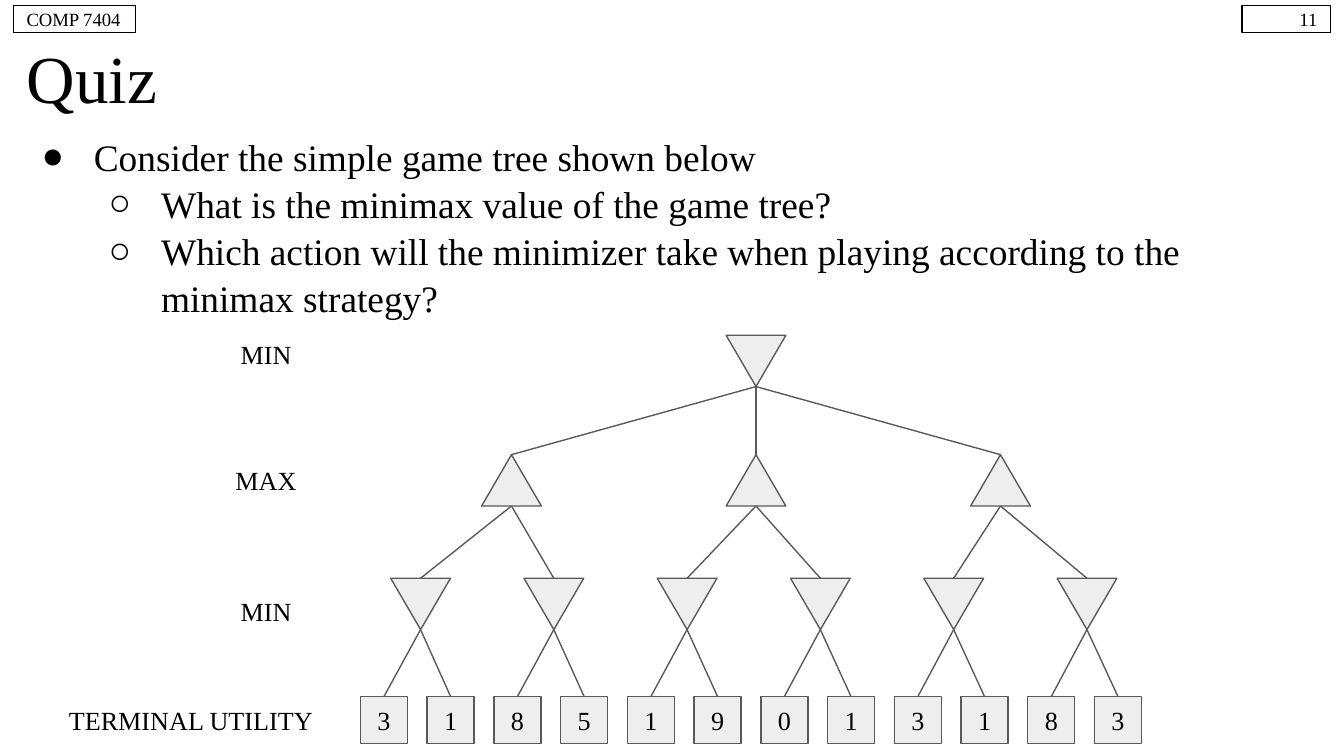
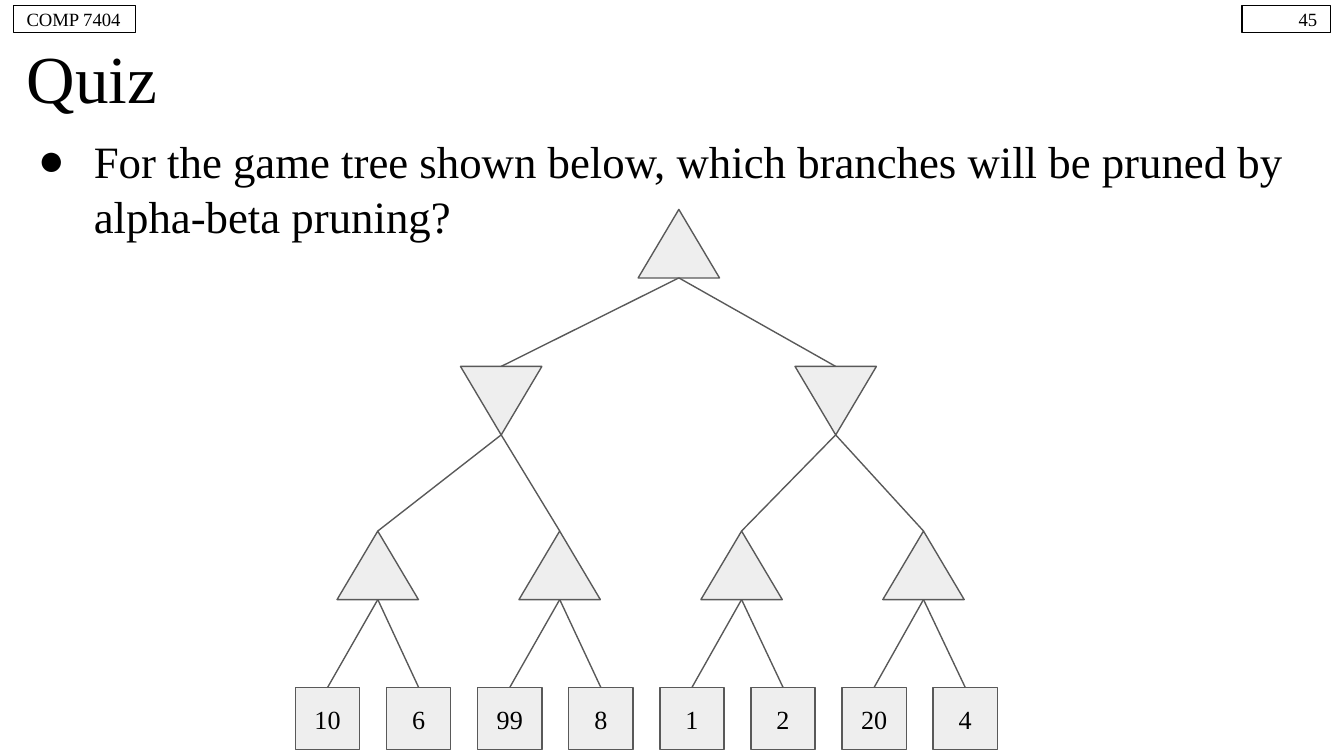
import pptx
import pptx.util
import pptx.dml.color
import pptx.enum.shapes
import pptx.enum.text
import pptx.oxml
import pptx.oxml.ns

Pt = pptx.util.Pt
Kind = pptx.enum.shapes.MSO_SHAPE
Side = pptx.enum.text.PP_ALIGN
Hold = pptx.enum.text.MSO_ANCHOR
FONT = "Times New Roman"
INK, EDGE, PALE = "000000", "595959", "EEEEEE"


def paint(part, code):
    part.rgb = pptx.dml.color.RGBColor.from_string(code)


def write(frame, text, size=14, align=Side.CENTER, anchor=Hold.MIDDLE, hang=0, space=1.0):
    frame.word_wrap = True
    frame.auto_size = pptx.enum.text.MSO_AUTO_SIZE.NONE
    frame.vertical_anchor = anchor
    frame.margin_left = frame.margin_right = Pt(7.2)
    frame.margin_top = frame.margin_bottom = Pt(7.2)
    for n, line in enumerate(text.split("\n")):
        para = frame.add_paragraph() if n else frame.paragraphs[0]
        para.alignment = align
        para.line_spacing = space
        if hang:
            para.level = min(n, 1)
            props = para._p.get_or_add_pPr()
            props.set("marL", str(Pt(36 * (para.level + 1))))
            props.set("indent", str(-Pt(hang)))
            for tag in (
                f'buClr {pptx.oxml.ns.nsdecls("a")}><a:srgbClr val="{INK}"/></a:buClr',
                f'buFont {pptx.oxml.ns.nsdecls("a")} typeface="{FONT}"/',
                f'buChar {pptx.oxml.ns.nsdecls("a")} char="{"●○"[para.level]}"/',
            ):
                props.append(pptx.oxml.parse_xml(f"<a:{tag}>"))
        run = para.add_run()
        run.text = line
        run.font.size = Pt(size)
        run.font.name = FONT
        paint(run.font.color, INK)


QUIZ = [
    {
        "page": "11", "size": 20, "hang": 28, "space": 1.05,
        "text": "Consider the simple game tree shown below\n"
                "What is the minimax value of the game tree?\n"
                "Which action will the minimizer take when playing according to the minimax strategy?",
        "node": (32, 27.5), "leaf": (25.2, 25.2),
        "rows": [(179.6, True, 405, 0, 1), (243.6, False, 274, 131, 3),
                 (309.8, True, 225.3, 71.4, 6), (373.2, False, 205.7, 35.75, 12)],
        "ends": [3, 1, 8, 5, 1, 9, 0, 1, 3, 1, 8, 3],
        "tags": [("MIN", 118, 171.5, 49), ("MAX", 118, 239, 49),
                 ("MIN", 118, 309.5, 49), ("TERMINAL UTILITY", 23.8, 368, 157)],
    },
    {
        "page": "45", "size": 24, "hang": 30, "space": 1.03,
        "text": "For the game tree shown below, which branches will be pruned by alpha-beta pruning?",
        "node": (43.6, 36.7), "leaf": (34.4, 33.4),
        "rows": [(112.2, False, 363.7, 0, 1), (196.3, True, 268.5, 179.2, 2),
                 (284.5, False, 202.4, 97.45, 4), (368.3, False, 175.5, 48.8, 8)],
        "ends": [10, 6, 99, 8, 1, 2, 20, 4],
        "tags": [],
    },
]

deck = pptx.Presentation()
deck.slide_width, deck.slide_height = Pt(720), Pt(405)

for quiz in QUIZ:
    slide = deck.slides.add_slide(deck.slide_layouts[5])
    shapes = slide.shapes
    title = shapes.title
    title.left, title.top, title.width, title.height = Pt(7.2), Pt(20.3), Pt(705.6), Pt(41)
    write(title.text_frame, "Quiz", size=36, align=Side.LEFT)

    body = shapes.add_textbox(Pt(7.2), Pt(63.4), Pt(705.6), Pt(332))
    write(body.text_frame, quiz["text"], size=quiz["size"], align=Side.LEFT,
          anchor=Hold.TOP, hang=quiz["hang"], space=quiz["space"])

    for text, left, width, align in (
        (quiz["page"], 665.3, 47.5, Side.RIGHT),
        ("COMP 7404", 7.2, 65.6, Side.LEFT),
    ):
        box = shapes.add_shape(Kind.RECTANGLE, Pt(left), Pt(3), Pt(width), Pt(14.6))
        box.shadow.inherit = False
        box.fill.background()
        paint(box.line.color, INK)
        box.line.width = Pt(0.75)
        write(box.text_frame, text, size=10, align=align)

    rows = quiz["rows"]
    for depth, (top, flip, start, step, count) in enumerate(rows):
        last = depth == len(rows) - 1
        wide, high = quiz["leaf"] if last else quiz["node"]
        for n in range(count):
            mid = start + n * step
            if depth:
                above, _, first, gap, total = rows[depth - 1]
                root = first + n * total // count * gap
                link = shapes.add_connector(
                    pptx.enum.shapes.MSO_CONNECTOR.STRAIGHT,
                    Pt(root), Pt(above + quiz["node"][1]), Pt(mid), Pt(top))
                paint(link.line.color, EDGE)
                link.line.width = Pt(0.75)
                link._element.spPr.append(pptx.oxml.parse_xml(
                    f'<a:effectLst {pptx.oxml.ns.nsdecls("a")}/>'))
            kind = Kind.RECTANGLE if last else Kind.ISOSCELES_TRIANGLE
            node = shapes.add_shape(kind, Pt(mid - wide / 2), Pt(top), Pt(wide), Pt(high))
            node.shadow.inherit = False
            node.rotation = 180 if flip else 0
            node.fill.solid()
            paint(node.fill.fore_color, PALE)
            paint(node.line.color, EDGE)
            node.line.width = Pt(0.75)
            if last:
                write(node.text_frame, str(quiz["ends"][n]))

    for text, left, top, width in quiz["tags"]:
        tag = shapes.add_textbox(Pt(left), Pt(top), Pt(width), Pt(36))
        write(tag.text_frame, text)

deck.save("out.pptx")
